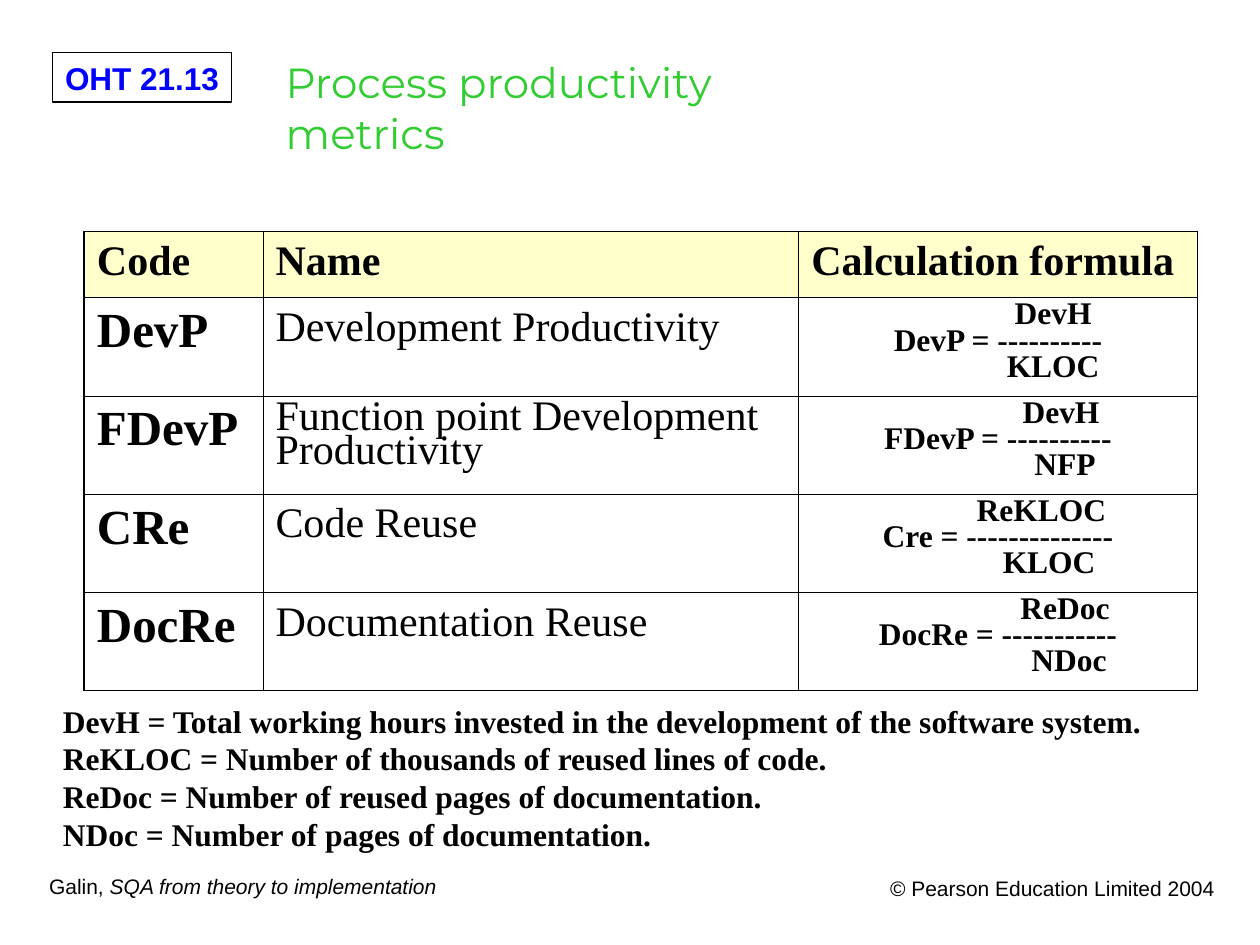
import pptx
import pptx.dml.color
import pptx.enum.shapes
import pptx.enum.text
import pptx.oxml
import pptx.oxml.ns
import pptx.util

Cm = pptx.util.Cm
Pt = pptx.util.Pt
ALIGN = pptx.enum.text.PP_ALIGN
COLORS = {"ink": "000000", "label": "0000FF", "title": "33CC33", "header": "FFFFCC"}
SANS, SERIF, DISPLAY = "Arial", "Times New Roman", "Montserrat"
THIN, THICK = 0.45, 1.08

COLUMNS = [3.6, 10.8, 8.04]
ROWS = [1.33] + [1.98] * 4
HEADERS = ["Code", "Name", "Calculation formula"]
METRICS = [
    ("DevP", "Development Productivity", 1, ("DevH", 2.22), "DevP = ----------", ("KLOC", 2.22)),
    ("FDevP", "Function point Development Productivity", 0.75,
     ("DevH", 2.54), "FDevP = ----------", ("NFP", 2.7)),
    ("CRe", "Code Reuse", 1, ("ReKLOC", 1.75), "Cre = --------------", ("KLOC", 2.06)),
    ("DocRe", "Documentation Reuse", 1, ("ReDoc", 2.7), "DocRe = -----------", ("NDoc", 2.86)),
]
DEFINITIONS = [
    "DevH = Total working hours invested in the development of the software system.",
    "ReKLOC = Number of thousands of reused lines of code.",
    "ReDoc = Number of reused pages of documentation.",
    "NDoc = Number of pages of documentation.",
]


class MetricsPage:
    """Hold the style and the current slide, and draw each kind of element."""

    def __init__(self, deck):
        self.page = deck.slides.add_slide(deck.slide_layouts[6])

    def color(self, name):
        return pptx.dml.color.RGBColor.from_string(COLORS[name])

    def add_lines(self, frame, lines, size, font, color="ink", bold=False,
                  align=ALIGN.LEFT, spacing=None, indents=None):
        for index, line in enumerate(lines):
            para = frame.paragraphs[0] if index == 0 else frame.add_paragraph()
            para.alignment = align
            if spacing:
                para.line_spacing = spacing
            if indents and indents[index]:
                para._p.get_or_add_pPr().set("marL", str(Cm(indents[index])))
            for text, italic in ([(line, False)] if isinstance(line, str) else line):
                span = para.add_run()
                span.text = text
                span.font.name = font
                span.font.size = Pt(size)
                span.font.bold = bold
                span.font.italic = italic
                span.font.color.rgb = self.color(color)

    def text(self, left, top, width, height, lines, size, font, wrap=True, **style):
        box = self.page.shapes.add_textbox(Cm(left), Cm(top), Cm(width), Cm(height))
        box.text_frame.word_wrap = wrap
        self.add_lines(box.text_frame, lines, size, font, **style)

    def label(self, left, top, width, height, text):
        box = self.page.shapes.add_shape(
            pptx.enum.shapes.MSO_SHAPE.RECTANGLE, Cm(left), Cm(top), Cm(width), Cm(height))
        box.shadow.inherit = False
        box.fill.background()
        box.line.color.rgb = self.color("ink")
        box.line.width = Pt(0.75)
        box.text_frame.word_wrap = False
        box.text_frame.vertical_anchor = pptx.enum.text.MSO_ANCHOR.TOP
        self.add_lines(box.text_frame, [text], 18, SANS, "label", True, ALIGN.CENTER)

    def borders(self, cell, row, column):
        outer = {"L": column == 0, "R": column == len(COLUMNS) - 1,
                 "T": row == 0, "B": row == len(ROWS) - 1}
        for side, is_outer in outer.items():
            width = Pt(THICK if is_outer else THIN)
            cell._tc.get_or_add_tcPr().append(pptx.oxml.parse_xml(
                f'<a:ln{side} {pptx.oxml.ns.nsdecls("a")} w="{width}"><a:solidFill>'
                f'<a:srgbClr val="{COLORS["ink"]}"/></a:solidFill></a:ln{side}>'))

    def table(self, left, top):
        grid = self.page.shapes.add_table(
            len(ROWS), len(COLUMNS), Cm(left), Cm(top), Cm(sum(COLUMNS)), Cm(sum(ROWS))).table
        grid.horz_banding = False
        grid.first_row = False
        for column, width in zip(grid.columns, COLUMNS):
            column.width = Cm(width)
        for row, height in enumerate(ROWS):
            grid.rows[row].height = Cm(height)
            for column in range(len(COLUMNS)):
                cell = grid.cell(row, column)
                self.borders(cell, row, column)
                if row == 0:
                    cell.fill.solid()
                    cell.fill.fore_color.rgb = self.color("header")
                else:
                    cell.fill.background()
        for column, header in enumerate(HEADERS):
            self.add_lines(grid.cell(0, column).text_frame, [header], 24, SERIF, bold=True)
        for row, (code, name, spacing, above, formula, below) in enumerate(METRICS, 1):
            code_frame, name_frame, formula_frame = (
                grid.cell(row, column).text_frame for column in range(len(COLUMNS)))
            self.add_lines(code_frame, [code], 28, SERIF, bold=True)
            self.add_lines(name_frame, [name], 24, SERIF, spacing=spacing)
            self.add_lines(formula_frame, [above[0], formula, below[0]], 18, SERIF, bold=True,
                           align=ALIGN.CENTER, spacing=0.75, indents=[above[1], 0, below[1]])


def main():
    deck = pptx.Presentation()
    deck.slide_width, deck.slide_height = Cm(25.4), Cm(19.05)
    page = MetricsPage(deck)
    page.label(1.06, 1.06, 3.61, 1, "OHT 21.13")
    page.text(0.74, 17.48, 8.33, 0.76,
              [[("Galin, ", False), ("SQA from theory to implementation", True)]],
              12, SANS, wrap=False)
    page.text(16.87, 17.53, 7.87, 0.99, ["© Pearson Education Limited 2004"],
              12, SANS, align=ALIGN.RIGHT)
    page.table(1.7, 4.67)
    page.text(5.51, 1.02, 14.25, 3.12, ["Process productivity", "metrics"],
              24, DISPLAY, wrap=False, color="title")
    page.text(1.02, 14.02, 23.47, 3.3, DEFINITIONS, 18, SERIF, bold=True)
    deck.save("out.pptx")


if __name__ == "__main__":
    main()
